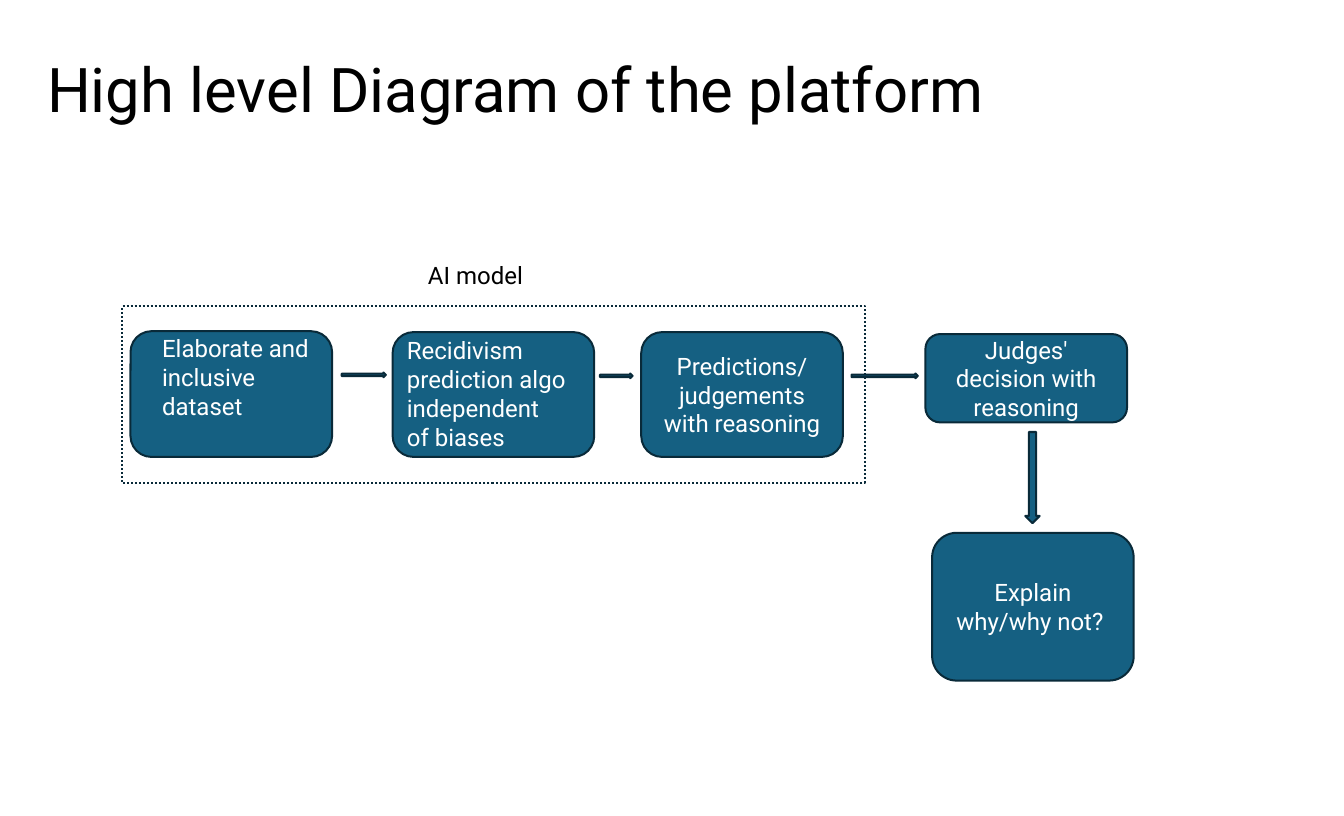
from pptx import Presentation
from pptx.dml.color import RGBColor
from pptx.enum import dml, shapes, text
from pptx.util import Inches, Pt

BLUE = RGBColor(0x15, 0x60, 0x82)
NAVY = RGBColor(0x09, 0x2A, 0x39)
WHITE = RGBColor(0xFF, 0xFF, 0xFF)
BLACK = RGBColor(0, 0, 0)
SHAPE = shapes.MSO_SHAPE
ANCHOR = text.MSO_ANCHOR
ALIGN = text.PP_ALIGN
STEP_WIDTH = 2.1


def write(shape, words, size=18, color=WHITE, align=ALIGN.LEFT, anchor=ANCHOR.TOP):
    frame = shape.text_frame
    frame.word_wrap = True
    frame.auto_size = text.MSO_AUTO_SIZE.NONE
    frame.vertical_anchor = anchor
    para = frame.paragraphs[0]
    para.alignment = align
    span = para.add_run()
    span.text = words
    for name, value in {"name": "Roboto", "size": Pt(size)}.items():
        setattr(span.font, name, value)
    span.font.color.rgb = color
    return para


def add_label(page, box, words, color=WHITE):
    write(page.shapes.add_textbox(*map(Inches, box)), words, color=color)


def add_block(page, kind, box, fill=BLUE):
    block = page.shapes.add_shape(kind, *map(Inches, box))
    block.shadow.inherit = False
    if fill is None:
        block.fill.background()
    else:
        block.fill.solid()
        block.fill.fore_color.rgb = fill
    block.line.color.rgb = NAVY
    block.line.width = Pt(1.5)
    return block


def add_step(page, box, words, label_box=None):
    """Draw a rounded step; label_box, relative to it, holds left-aligned words."""
    left, top = box[:2]
    step = add_block(page, SHAPE.ROUNDED_RECTANGLE, box)
    if label_box:
        dx, dy, width, height = label_box
        add_label(page, (left + dx, top + dy, width, height), words)
    else:
        write(step, words, align=ALIGN.CENTER, anchor=ANCHOR.MIDDLE)


def add_title(page, box, words):
    title = page.shapes.title
    title.left, title.top, title.width, title.height = map(Inches, box)
    para = write(title, words, size=46.2, color=BLACK, anchor=ANCHOR.MIDDLE)
    para.line_spacing = 0.9


def add_model(page, box):
    """Draw the three model steps, their arrows, dotted frame and caption."""
    left, top, width, height = box
    steps = [
        (0.09, 0.26, 1.31, "Elaborate and inclusive dataset", (0.23, -0.02, 1.79, 1.02)),
        (2.82, 0.27, 1.3, "Recidivism prediction algo independent of biases",
         (0.05, -0.01, 1.85, 1.32)),
        (5.41, 0.27, 1.3, "Predictions/ judgements with reasoning", None),
    ]
    for dx, dy, step_height, words, label_box in steps:
        add_step(page, (left + dx, top + dy, STEP_WIDTH, step_height), words, label_box)
    for dx, dy, length in [(2.29, 0.69, 0.46), (4.98, 0.7, 0.34), (7.6, 0.7, 0.69)]:
        add_block(page, SHAPE.RIGHT_ARROW, (left + dx, top + dy, length, 0.05))
    frame = add_block(page, SHAPE.RECTANGLE, box, fill=None)
    frame.line.dash_style = dml.MSO_LINE.ROUND_DOT
    add_label(page, (left + 3.09, top - 0.53, 3.28, 0.4), "AI model", BLACK)


def add_decision(page, box):
    """Draw the judges' step with the explanation below it."""
    left, top, width, height = box
    add_step(page, (left, top, STEP_WIDTH, 0.92), "Judges' decision with reasoning")
    add_block(page, SHAPE.DOWN_ARROW, (left + 1.04, top + 1.02, 0.15, 0.95))
    add_step(page, (left + width - STEP_WIDTH, top + height - 1.54, STEP_WIDTH, 1.54),
             "Explain why/why not? ")


def main():
    deck = Presentation()
    deck.slide_width, deck.slide_height = Inches(14), Inches(8.5)
    page = deck.slides.add_slide(deck.slide_layouts[5])
    add_title(page, (0.39, 0.14, 12.07, 1.64), "High level Diagram of the platform")
    add_model(page, (1.27, 3.19, 7.74, 1.84))
    add_decision(page, (9.64, 3.48, 2.17, 3.61))
    deck.save("out.pptx")


if __name__ == "__main__":
    main()
